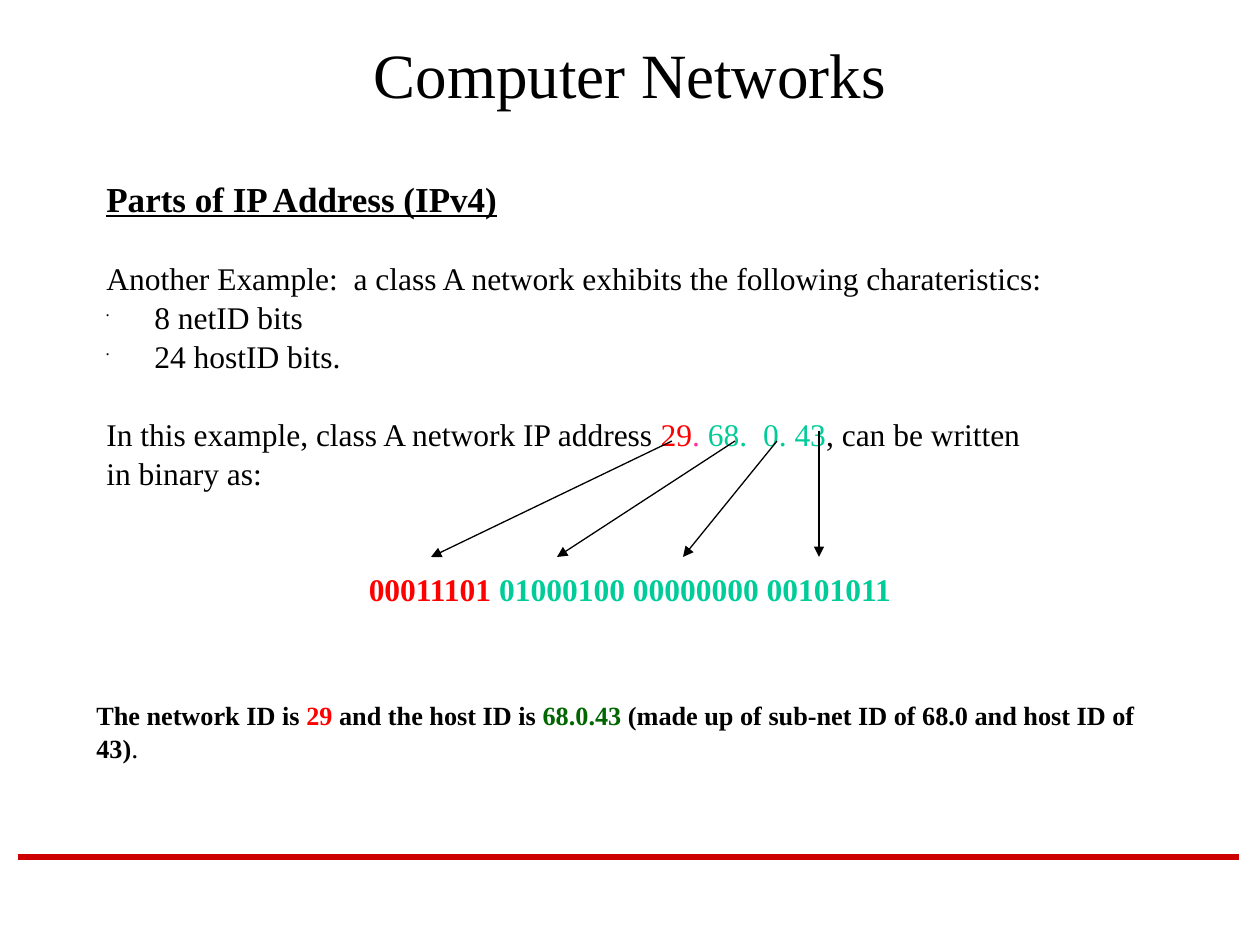
from dataclasses import dataclass

from lxml.etree import SubElement
from pptx import Presentation
from pptx.dml.color import RGBColor
from pptx.enum.shapes import MSO_CONNECTOR
from pptx.enum.text import MSO_ANCHOR, MSO_AUTO_SIZE, PP_ALIGN
from pptx.oxml.ns import qn
from pptx.util import Emu, Pt


@dataclass(frozen=True)
class Theme:
    font: str = "Times New Roman"
    black: str = "000000"
    network: str = "FF0000"
    separator: str = "FF3399"
    host: str = "00CC99"
    host_summary: str = "006600"
    rule: str = "CC0000"
    title_size: int = 36
    heading_size: int = 20
    body_size: int = 18
    period_size: int = 16
    summary_size: int = 15


THEME = Theme()
LINE_GAP = 5.2
BLOCK_GAP = 27
ARROW_GAP = 48.8
HANGING = 48


def px(length):
    return Emu(round(length * 914400 / 126))


def set_values(target, values):
    for name, value in values.items():
        setattr(target, name, value)


def add_box(page, left, top, width, height, **frame_values):
    box = page.shapes.add_textbox(px(left), px(top), px(width), px(height))
    set_values(box.text_frame, {"word_wrap": True, **frame_values})
    return box.text_frame


def add_spans(para, spans, size, **font_values):
    for words, color, *changes in spans:
        span = para.add_run()
        span.text = words
        values = {"name": THEME.font, "size": Pt(size), **font_values}
        for change in changes:
            values.update(change)
        set_values(span.font, values)
        span.font.color.rgb = RGBColor.from_string(color)


def add_bullet(para):
    properties = para._p.get_or_add_pPr()
    color = SubElement(properties, qn("a:buClr"))
    SubElement(color, qn("a:srgbClr"), val=THEME.black)
    SubElement(properties, qn("a:buSzPct"), val="25000")
    SubElement(properties, qn("a:buChar"), char="•")


def add_body_line(para, spans, gap, size=THEME.body_size, bullet=False,
                  align=PP_ALIGN.LEFT, **font_values):
    set_values(para, {"line_spacing": 0.8, "space_before": Pt(gap), "alignment": align})
    properties = para._p.get_or_add_pPr()
    properties.set("marL", str(px(HANGING)))
    properties.set("indent", str(-px(HANGING)))
    if bullet:
        add_bullet(para)
    add_spans(para, spans, size, **font_values)


def add_line(page, start, end, color, width, arrow=False):
    line = page.shapes.add_connector(
        MSO_CONNECTOR.STRAIGHT, *(px(value) for value in (*start, *end)))
    line.line.color.rgb = RGBColor.from_string(color)
    line.line.width = Pt(width)
    if arrow:
        SubElement(line.line._get_or_add_ln(), qn("a:tailEnd"), type="triangle")
    SubElement(line._element.spPr, qn("a:effectLst"))


def add_title(page):
    frame = add_box(page, 94, 21, 1072, 105, vertical_anchor=MSO_ANCHOR.MIDDLE)
    para = frame.paragraphs[0]
    para.alignment = PP_ALIGN.CENTER
    add_spans(para, [("Computer Networks", THEME.black)], THEME.title_size)


def add_body(page):
    black = THEME.black
    address = [
        ("In this example, class A network IP address ", black),
        ("29", THEME.network),
        (". ", THEME.separator),
        ("68.  0. 43", THEME.host),
        (", can be written", black),
    ]
    binary = [
        ("00011101", THEME.network),
        (" 01000100 00000000 00101011", THEME.host),
    ]
    introduction = "Another Example:  a class A network exhibits the following charateristics:"
    lines = [
        ([("Parts of IP Address (IPv4)", black)], 0,
         {"size": THEME.heading_size, "bold": True, "underline": True}),
        ([(introduction, black)], BLOCK_GAP, {}),
        ([("8 netID bits", black)], LINE_GAP, {"bullet": True}),
        ([("24 hostID bits.", black)], LINE_GAP, {"bullet": True}),
        (address, BLOCK_GAP, {}),
        ([("in binary as:", black)], LINE_GAP, {}),
        (binary, ARROW_GAP, {"align": PP_ALIGN.CENTER, "bold": True}),
    ]
    frame = add_box(page, 94, 179, 1072, 640)
    for index, (spans, gap, values) in enumerate(lines):
        para = frame.add_paragraph() if index else frame.paragraphs[0]
        add_body_line(para, spans, gap, **values)


def add_summary(page):
    frame = add_box(page, 84, 693, 1111, 47, word_wrap=False,
                    auto_size=MSO_AUTO_SIZE.SHAPE_TO_FIT_TEXT)
    spans = [
        ("The network ID is ", THEME.black),
        ("29", THEME.network),
        (" and the host ID is ", THEME.black),
        ("68.0.43", THEME.host_summary),
        (" (made up of sub-net ID of 68.0 and host ID of 43)", THEME.black),
        (".", THEME.black, {"size": Pt(THEME.period_size), "bold": False}),
    ]
    add_spans(frame.paragraphs[0], spans, THEME.summary_size, bold=True)


def main():
    deck = Presentation()
    set_values(deck, {"slide_width": px(1260), "slide_height": px(945)})
    page = deck.slides.add_slide(deck.slide_layouts[6])
    add_line(page, (18, 857), (1239, 857), THEME.rule, 3)
    add_title(page)
    add_body(page)
    arrows = [((672, 441), 431), ((735, 441), 557), ((777, 441), 683), ((819, 431), 819)]
    for start, end_left in arrows:
        add_line(page, start, (end_left, 557), THEME.black, 0.75, arrow=True)
    add_summary(page)
    deck.save("out.pptx")


if __name__ == "__main__":
    main()
